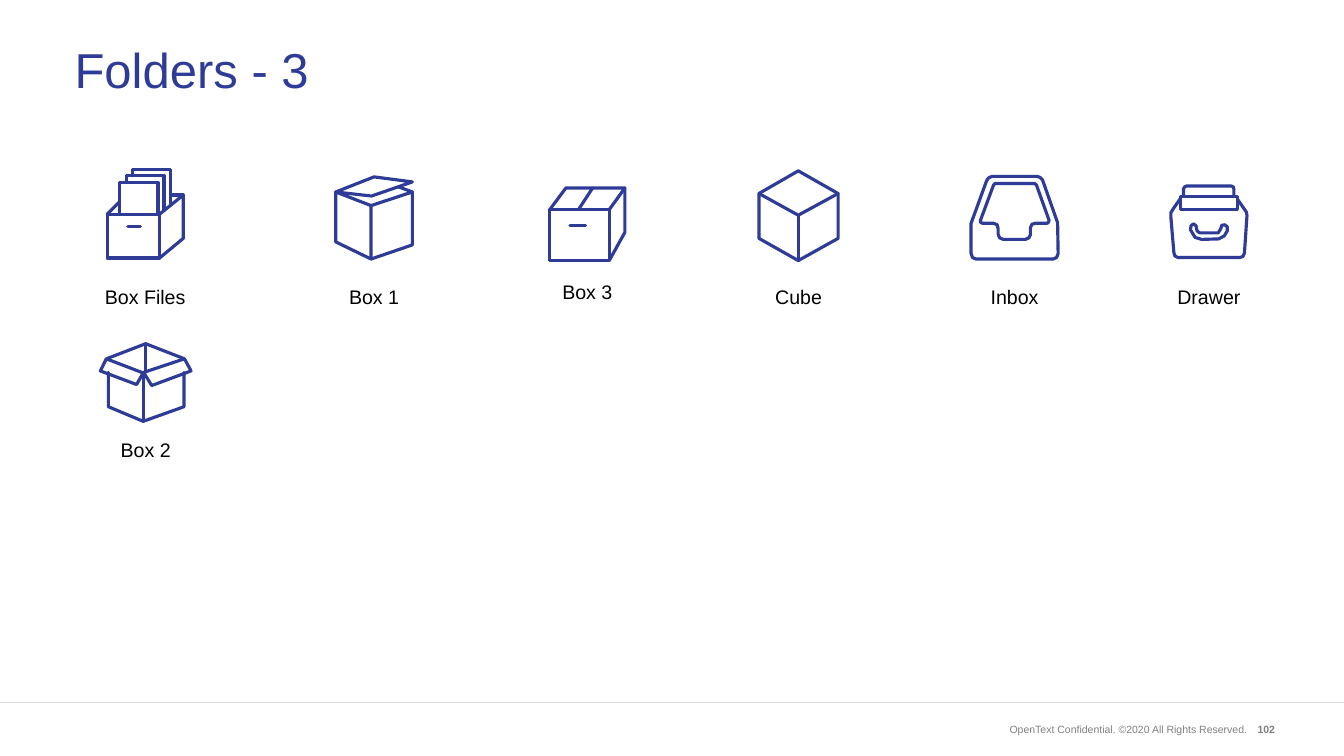
from lxml import etree
from pptx import Presentation
from pptx.dml.color import RGBColor
from pptx.enum.shapes import MSO_CONNECTOR
from pptx.enum.text import MSO_ANCHOR, PP_ALIGN
from pptx.oxml.ns import qn
from pptx.util import Inches, Pt

LEFT, CENTER, RIGHT = PP_ALIGN.LEFT, PP_ALIGN.CENTER, PP_ALIGN.RIGHT
TOP, MIDDLE = MSO_ANCHOR.TOP, MSO_ANCHOR.MIDDLE
STRAIGHT = MSO_CONNECTOR.STRAIGHT

WIDTH, HEIGHT = 26.66, 15
TITLE_ONLY = 5
FONT = "Arial"
COLORS = {"brand": "2E3C98", "text": "000000", "footer": "808080", "rule": "D9D9D9"}
STROKE = 4.5
HALF_STROKE = 0.03
UNIT = 0.01
LABEL_HEIGHT = 0.54

OPEN, CLOSED = False, True
BOX_FILES = [
    (CLOSED, [(3, 91), (107, 91), (107, 178), (3, 178)]),
    (OPEN, [(107, 91), (154, 53), (154, 139), (107, 178)]),
    (OPEN, [(154, 53), (129, 53)]),
    (OPEN, [(3, 91), (28, 66)]),
    (OPEN, [(28, 91), (28, 28), (104, 28), (104, 91)]),
    (OPEN, [(41, 28), (41, 15), (116, 15), (116, 83)]),
    (OPEN, [(53, 15), (53, 3), (129, 3), (129, 72)]),
    (OPEN, [(44, 116), (69, 116)]),
]
BOX_LID = [
    (CLOSED, [(3, 33), (3, 132), (73, 166), (73, 60)]),
    (OPEN, [(73, 166), (155, 138), (155, 33), (73, 60)]),
    (CLOSED, [(3, 33), (79, 3), (155, 13), (74, 41)]),
    (OPEN, [(128, 23), (155, 33)]),
]
BOX_TAPED = [
    (CLOSED, [(3, 46), (121, 46), (121, 147), (3, 147)]),
    (OPEN, [(3, 46), (35, 3), (152, 3), (121, 46)]),
    (OPEN, [(152, 3), (152, 91), (121, 147)]),
    (OPEN, [(88, 3), (60, 46)]),
    (OPEN, [(43, 78), (74, 78)]),
]
CUBE = [
    (CLOSED, [(81, 3), (160, 48), (160, 137), (81, 181), (3, 137), (3, 48)]),
    (OPEN, [(3, 48), (81, 91), (160, 48)]),
    (OPEN, [(81, 91), (81, 181)]),
]
INBOX = [
    (CLOSED, [(3, 97), (34, 12), (38, 6), (45, 3), (134, 3), (140, 5), (145, 10),
              (175, 95), (176, 156), (173, 164), (166, 167), (13, 167), (6, 164),
              (3, 155)]),
    (CLOSED, [(51, 17), (129, 17), (133, 20), (158, 90), (157, 94), (154, 96),
              (131, 96), (124, 98), (121, 105), (121, 119), (118, 125), (111, 128),
              (67, 128), (60, 125), (57, 118), (57, 107), (55, 99), (48, 96),
              (26, 96), (22, 94), (22, 90), (48, 20)]),
]
DRAWER = [
    (OPEN, [(22, 28), (8, 48), (3, 56), (3, 64), (9, 135), (11, 142), (17, 145),
            (139, 145), (146, 143), (149, 136), (154, 62), (153, 55), (135, 29)]),
    (CLOSED, [(22, 24), (135, 24), (135, 50), (22, 50)]),
    (OPEN, [(28, 24), (28, 9), (30, 5), (34, 3), (123, 3), (127, 5), (128, 9),
            (128, 24)]),
    (CLOSED, [(42, 90), (43, 82), (48, 78), (53, 82), (55, 92), (60, 96), (97, 96),
              (102, 88), (104, 81), (110, 80), (115, 84), (115, 92), (109, 102),
              (98, 108), (64, 109), (51, 105)]),
]
BOX_OPEN = [
    (OPEN, [(19, 60), (19, 128), (88, 157), (169, 128), (169, 60)]),
    (OPEN, [(88, 63), (88, 157)]),
    (OPEN, [(93, 3), (93, 58)]),
    (CLOSED, [(15, 33), (88, 61), (75, 84), (3, 57)]),
    (CLOSED, [(89, 60), (170, 33), (183, 57), (105, 86)]),
    (OPEN, [(15, 33), (93, 3), (170, 33)]),
]

ICON_CELLS = [
    ("Box Files", BOX_FILES, (1.53, 3.33, 2.7, 2.86), 0.5),
    ("Box 1", BOX_LID, (6.09, 3.47, 2.66, 2.72), 0.48),
    ("Box 3", BOX_TAPED, (9.62, 3.7, 4.06, 2.38), 0.34),
    ("Cube", CUBE, (13.89, 3.35, 3.9, 2.84), 0.45),
    ("Inbox", INBOX, (18.69, 3.47, 2.87, 2.72), 0.48),
    ("Drawer", DRAWER, (22.21, 3.66, 3.54, 2.53), 0.51),
    ("Box 2", BOX_OPEN, (0.85, 6.79, 4.08, 2.43), 0.29),
]


def write_text(shape, text, size, color, align=LEFT, anchor=TOP, bold=False, spacing=1.0):
    """Fill a shape with one formatted paragraph."""
    frame = shape.text_frame
    frame.word_wrap = True
    frame.vertical_anchor = anchor
    paragraph = frame.paragraphs[0]
    paragraph.alignment = align
    paragraph.line_spacing = spacing
    run = paragraph.add_run()
    run.text = text
    run.font.name = FONT
    run.font.size = Pt(size)
    run.font.bold = bold
    run.font.color.rgb = RGBColor.from_string(COLORS[color])


def add_text(slide, box, text, **text_format):
    """Add a text box at a box given in inches."""
    shape = slide.shapes.add_textbox(*map(Inches, box))
    write_text(shape, text, **text_format)


def add_title(slide, box, text):
    """Place and format the title placeholder."""
    title = slide.shapes.title
    title.left, title.top, title.width, title.height = map(Inches, box)
    write_text(title, text, size=70, color="brand", anchor=MIDDLE, spacing=0.9)


def add_icon(slide, center, bottom, strokes):
    """Draw the strokes as one outline, centred and standing on the bottom."""
    points = [point for _, stroke in strokes for point in stroke]
    width = max(x for x, _ in points) * UNIT + HALF_STROKE
    height = max(y for _, y in points) * UNIT + HALF_STROKE
    builder = slide.shapes.build_freeform(*strokes[0][1][0], scale=Inches(UNIT))
    for index, (closed, stroke) in enumerate(strokes):
        if index:
            builder.move_to(*stroke[0])
        builder.add_line_segments(stroke[1:], close=closed)
    shape = builder.convert_to_shape(Inches(center - width / 2), Inches(bottom - height))
    shape.shadow.inherit = False
    shape.fill.background()
    shape.line.color.rgb = RGBColor.from_string(COLORS["brand"])
    shape.line.width = Pt(STROKE)
    line = shape._element.spPr.find(qn("a:ln"))
    line.set("cap", "rnd")
    etree.SubElement(line, qn("a:round"))


def add_icon_cell(slide, box, label, strokes, gap):
    """Place an icon above its label inside a cell."""
    left, top, width, height = box
    label_top = top + height - LABEL_HEIGHT
    add_icon(slide, left + width / 2, label_top - gap, strokes)
    add_text(slide, (left, label_top, width, LABEL_HEIGHT), label,
             size=28, color="text", align=CENTER, spacing=0.93)


def add_footer(slide, box):
    """Draw the rule, the copyright line and the page number."""
    left, top, width, _ = box
    rule = slide.shapes.add_connector(
        STRAIGHT, Inches(left), Inches(top), Inches(left + width), Inches(top))
    rule.line.color.rgb = RGBColor.from_string(COLORS["rule"])
    rule.line.width = Pt(1)
    etree.SubElement(rule._element.spPr, qn("a:effectLst"))
    text_top = top + 0.36
    add_text(slide, (left + 19.47, text_top, 5.37, 0.35),
             "OpenText Confidential. ©2020 All Rights Reserved.",
             size=15, color="footer", align=RIGHT, anchor=MIDDLE)
    add_text(slide, (left + 24.68, text_top, 0.71, 0.35), "102",
             size=15, color="footer", align=RIGHT, bold=True)


def main():
    """Build the slide and save it."""
    presentation = Presentation()
    presentation.slide_width = Inches(WIDTH)
    presentation.slide_height = Inches(HEIGHT)
    slide = presentation.slides.add_slide(presentation.slide_layouts[TITLE_ONLY])
    add_title(slide, (1.38, 0.38, 23.91, 2.12), "Folders - 3")
    for label, strokes, box, gap in ICON_CELLS:
        add_icon_cell(slide, box, label, strokes, gap)
    add_footer(slide, (0, 13.94, WIDTH, HEIGHT - 13.94))
    presentation.save("out.pptx")


if __name__ == "__main__":
    main()
